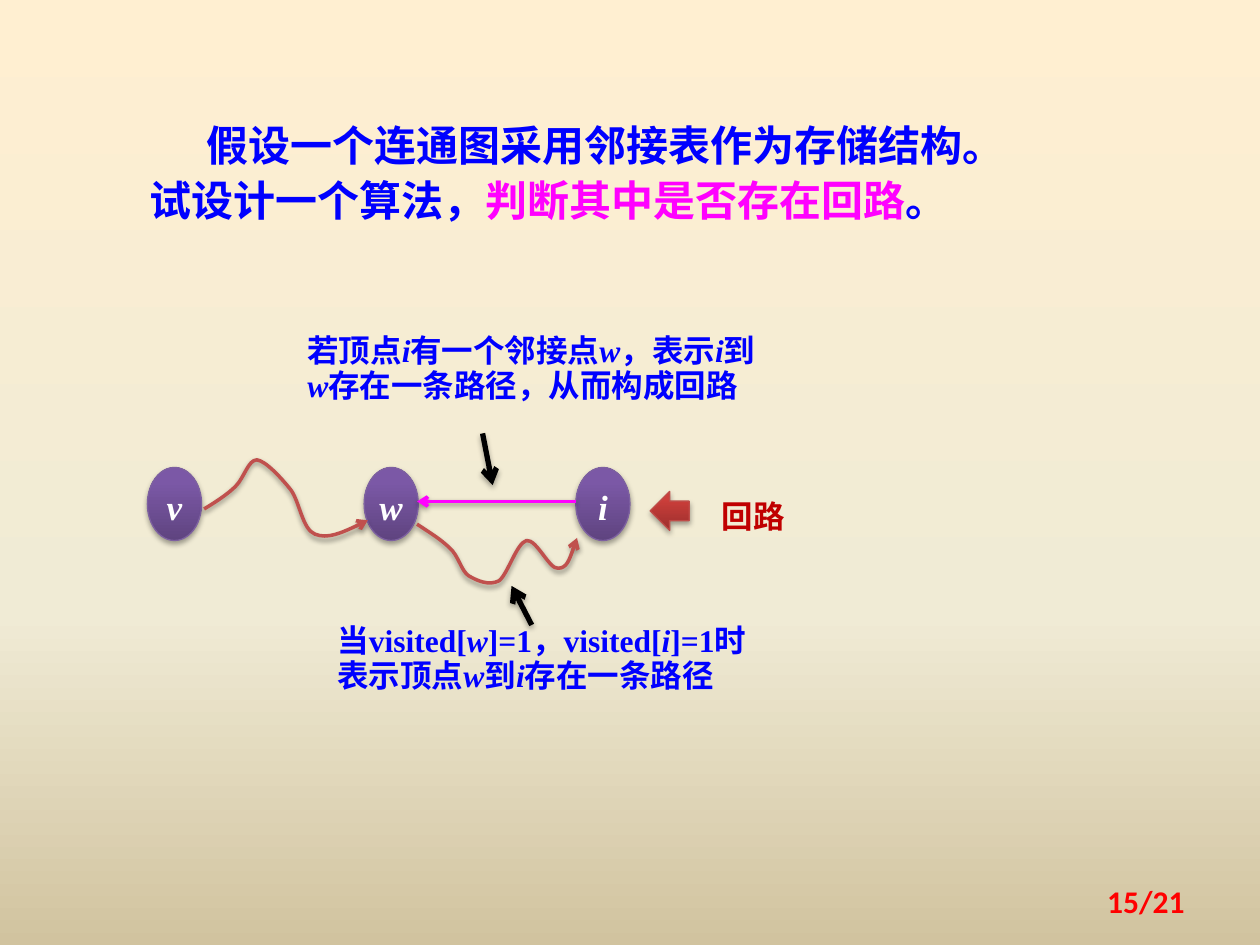
from lxml import etree
from pptx import Presentation
from pptx import util as u
from pptx.dml.color import RGBColor
from pptx.enum import shapes, text
from pptx.oxml.ns import qn

CELL = u.Inches(0.1)  # the slide is a grid of 100 columns by 75 rows
hue = RGBColor.from_string
SERIF, SANS = "Times New Roman", "Noto Sans CJK SC"
BLUE, PINK, RED = "0000FF", "FF00FF", "C0504D"


def at(*cells):
    """Turn grid cells into slide lengths."""
    return [int(n * CELL) for n in cells]


def write(shape, runs, size=18, font=SERIF, color=BLUE, bold=True, gap=None,
          align="LEFT", anchor="TOP", indent=0, wrap=True):
    """Fill a shape with (text, italic, colour or None) runs."""
    frame = shape.text_frame
    frame.word_wrap = wrap
    frame.vertical_anchor = getattr(text.MSO_ANCHOR, anchor)
    para = frame.paragraphs[0]
    para.alignment = getattr(text.PP_ALIGN, align)
    if gap:
        para.line_spacing = gap
    if indent:
        para._p.get_or_add_pPr().set("indent", str(at(indent)[0]))
    for words, slant, tint in runs:
        run = para.add_run()
        run.text = words
        face = run.font
        face.name, face.size = font, u.Pt(size)
        face.bold, face.italic = bold, slant
        face.color.rgb = hue(tint or color)
        east = etree.SubElement(run._r.rPr, qn("a:ea"))
        east.set("typeface", SANS)


deck = Presentation()
deck.slide_width, deck.slide_height = at(100, 75)
slide = deck.slides.add_slide(deck.slide_layouts[6])
items = slide.shapes
slide.background.fill.gradient()
shades = [(slide._element, 90,
           [(0, "FFEFD1"), (65, "F0EBD5"), (100, "D1C39F")])]
shadows, arrows = [], []

# Task
write(items.add_textbox(*at(10.9, 8.6, 71.9, 9.9)),
      [("假设一个连通图采用邻接表作为存储结构。试设计一个算法，", False, None),
       ("判断其中是否存在回路", False, PINK), ("。", False, None)],
      size=24, gap=1.1, indent=4.5)

# Vertices and the block arrow that points at the cycle
oval, left = shapes.MSO_SHAPE.OVAL, shapes.MSO_SHAPE.LEFT_ARROW
violet = "7D60A0", [(0, "5F4480"), (80, "7B58A6"), (100, "7C57A8")]
brick = "BF4C48", [(0, "9C2F2D"), (80, "CB3E3A"), (100, "CE3B37")]
for name, kind, box, (edge, stops) in [
        ("v", oval, (11.7, 37.1, 4.3, 5.8), violet),
        ("w", oval, (28.9, 37.1, 4.3, 5.8), violet),
        ("i", oval, (45.7, 37.1, 4.3, 5.8), violet),
        ("", left, (51.6, 39, 3.1, 3.1), brick)]:
    node = items.add_shape(kind, *at(*box))
    node.fill.gradient()
    node.line.color.rgb = hue(edge)
    node.line.width = u.Pt(0.75)
    shades.append((node._element, 270, stops))
    shadows.append((node, 35))
    if name:
        write(node, [(name, True, None)], size=20, color="FFFFFF", gap=1.1,
              align="CENTER", anchor="MIDDLE", wrap=False)

# Winding paths: a start, then three points for each Bezier piece
for start, *points in [
        [(16.2, 40.4), (17.2, 39.8), (18.1, 39.2), (18.7, 38.6),
         (19.4, 37.9), (19.7, 36.5), (20.4, 36.5),
         (21.1, 36.6), (22.3, 37.9), (23.1, 38.9),
         (23.8, 39.9), (24, 42), (25, 42.4),
         (26, 42.8), (27.6, 42.1), (29.2, 41.3)],
        [(33.1, 41.6), (34, 42.2), (35, 42.8), (35.7, 43.5),
         (36.4, 44.1), (36.6, 45.3), (37.2, 45.7),
         (37.9, 46.1), (38.8, 46.5), (39.6, 46.1),
         (40.3, 45.6), (41, 43.1), (41.8, 42.9),
         (42.6, 42.8), (43.6, 45.2), (44.3, 45.1),
         (45, 45.1), (45.4, 43.9), (45.8, 42.7)]]:
    pen = items.build_freeform(*at(*start), scale=1)
    pen.add_line_segments([at(*p) for p in points], close=False)
    trail = pen.convert_to_shape()
    trail.fill.background()
    arrows.append((trail, RED, 2, 38))
    steps = trail._element.findall(".//" + qn("a:lnTo"))
    for k in range(0, len(steps), 3):
        curve = etree.Element(qn("a:cubicBezTo"))
        steps[k].addprevious(curve)
        for step in steps[k:k + 3]:
            curve.append(step[0])
            step.getparent().remove(step)

# Straight edge and pointers
for ends, color, width, depth in [
        ((42.2, 49.6, 40.6, 46.5), "000000", 3, 35),
        ((45.7, 39.8, 33.1, 39.8), PINK, 2, 38),
        ((38.3, 34.4, 39.1, 38.5), "000000", 3, 35)]:
    link = items.add_connector(shapes.MSO_CONNECTOR.STRAIGHT, *at(*ends))
    arrows.append((link, color, width, depth))

for mark, color, width, depth in arrows:
    mark.line.color.rgb = hue(color)
    mark.line.width = u.Pt(width)
    etree.SubElement(mark.line._ln, qn("a:tailEnd")).set("type", "arrow")
    shadows.append((mark, depth))

# Notes; every one-letter piece is a vertex in italics
for box, pieces in [
        ((25.8, 49, 35.2, 6.6),
         "当visited[|w|]=1，visited[|i|]=1时表示顶点|w|到|i|存在一条路径"),
        ((23.4, 26, 39.1, 6.6),
         "若顶点|i|有一个邻接点|w|，表示|i|到|w|存在一条路径，从而构成回路")]:
    write(items.add_textbox(*at(*box)),
          [(piece, piece in "wi", None) for piece in pieces.split("|")],
          gap=u.Pt(20))
write(items.add_textbox(*at(56.3, 37.8, 8.6, 5.2)), [("回路", False, None)],
      font=SANS, color="C00000", gap=u.Pt(30))
write(items.add_textbox(*at(71.7, 69.5, 23.3, 4)), [("15/21", False, None)],
      font="Calibri", color="FF0000", align="RIGHT", anchor="MIDDLE")

# Gradients with three stops
for root, angle, stops in shades:
    grad = root.find(".//" + qn("a:gradFill"))
    grad.find(qn("a:lin")).set("ang", str(angle * 60000))
    row = grad.find(qn("a:gsLst"))
    for old in list(row):
        row.remove(old)
    for place, color in stops:
        stop = etree.SubElement(row, qn("a:gs"), pos=str(place * 1000))
        etree.SubElement(stop, qn("a:srgbClr"), val=color)

# Soft shadows straight below
for shape, depth in shadows:
    props = shape._element.spPr
    list_ = etree.SubElement(props, qn("a:effectLst"))
    cast = etree.SubElement(list_, qn("a:outerShdw"), blurRad=str(u.Pt(3.1)),
                            dist=str(u.Pt(1.7)), dir="5400000",
                            rotWithShape="0")
    tone = etree.SubElement(cast, qn("a:srgbClr"), val="000000")
    etree.SubElement(tone, qn("a:alpha"), val=str(depth * 1000))

deck.save("out.pptx")
